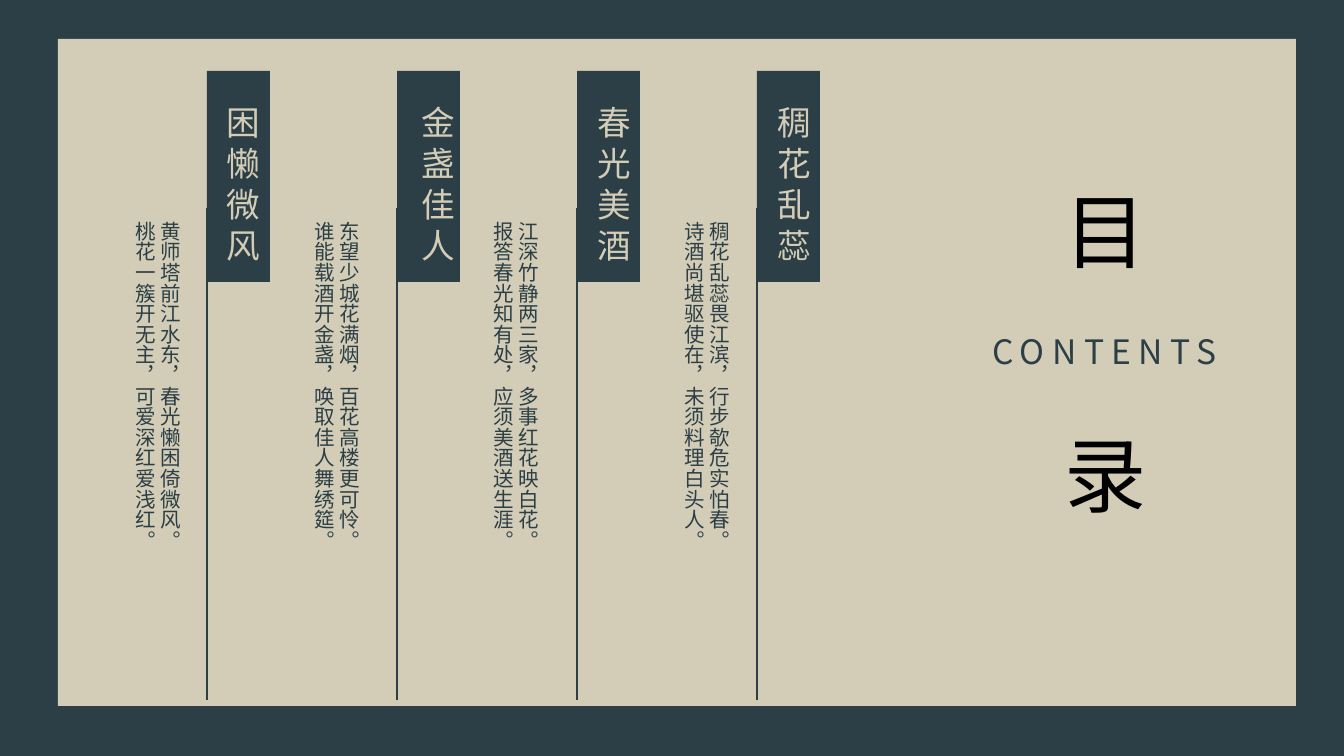
"""Build a contents slide with four vertical poem columns."""
from pptx import Presentation
from pptx import util as u
from pptx.dml.color import RGBColor
from pptx.enum import lang, shapes, text
from pptx.oxml.ns import qn
from lxml import etree

SLATE = RGBColor(0x2C, 0x3F, 0x46)
SAND = RGBColor(0xD3, 0xCD, 0xB7)
BLUE = RGBColor(0x3A, 0x5F, 0x8C)
BLACK = RGBColor(0, 0, 0)
SCALE = 914400 / 134.4


def px(*values):
    return [u.Emu(round(v * SCALE)) for v in values]


def add_text(box, lines, size, color, face="Calibri", spacing=0, vertical=True):
    tf = s.shapes.add_textbox(*px(*box)).text_frame
    tf.word_wrap = True
    tf.auto_size = text.MSO_AUTO_SIZE.SHAPE_TO_FIT_TEXT
    if vertical:
        tf._txBody.bodyPr.set("vert", "eaVert")
    fmt = {"name": face, "size": u.Pt(size)}
    if vertical:
        fmt["language_id"] = lang.MSO_LANGUAGE_ID.SIMPLIFIED_CHINESE
    for i, line in enumerate(lines):
        p = tf.add_paragraph() if i else tf.paragraphs[0]
        r = p.add_run()
        r.text = line
        for key, value in fmt.items():
            setattr(r.font, key, value)
        r.font.color.rgb = color
        if spacing:
            r.font._element.set("spc", str(spacing * 100))


prs = Presentation()
prs.slide_width, prs.slide_height = px(1344, 756)
s = prs.slides.add_slide(prs.slide_layouts[6])

for box, fill, line in [((-47, -46, 1481, 847), SLATE, BLUE),
                        ((58, 39, 1238, 667), SAND, None)]:
    sp = s.shapes.add_shape(shapes.MSO_SHAPE.RECTANGLE, *px(*box))
    sp.shadow.inherit = False
    sp.fill.solid()
    sp.fill.fore_color.rgb = fill
    if line:
        sp.line.color.rgb = line
        sp.line.width = u.Pt(2)
    else:
        sp.line.fill.background()

columns = [
    (207, 202, 112, 77, "困懒微风",
     ["黄师塔前江水东，春光懒困倚微风。", "桃花一簇开无主，可爱深红爱浅红。"]),
    (397, 397, 266, 102, "金盏佳人",
     ["东望少城花满烟，百花高楼更可怜。", "谁能载酒开金盏，唤取佳人舞绣筵。"]),
    (577, 573, 470, 77, "春光美酒",
     ["江深竹静两三家，多事红花映白花。", "报答春光知有处，应须美酒送生涯。"]),
    (757, 753, 661, 77, "稠花乱蕊",
     ["稠花乱蕊畏江滨，行步欹危实怕春。", "诗酒尚堪驱使在，未须料理白头人。"]),
]
for x, title_x, verse_x, verse_w, title, verse in columns:
    group = s.shapes.add_group_shape()
    rule = group.shapes.add_connector(shapes.MSO_CONNECTOR.STRAIGHT, *px(x, 208, x, 700))
    rule.line.color.rgb = SLATE
    rule.line.width = u.Pt(0.75)
    etree.SubElement(rule._element.spPr, qn("a:effectLst"))
    tab = group.shapes.add_shape(shapes.MSO_SHAPE.RECTANGLE, *px(x, 71, 63, 211))
    tab.shadow.inherit = False
    tab.fill.solid()
    tab.fill.fore_color.rgb = SLATE
    tab.line.fill.background()
    add_text((title_x, 93, 67, 191), [title], 18, SAND, spacing=4)
    add_text((verse_x, 208, verse_w, 492), verse, 11, SLATE)

add_text((1032, 177, 126, 117), ["目"], 44, BLACK)
add_text((1032, 421, 126, 126), ["录"], 44, BLACK)
add_text((979, 324, 254, 54), ["CONTENTS"], 18, SLATE, "Noto Sans CJK KR", 4, False)

prs.save("out.pptx")
